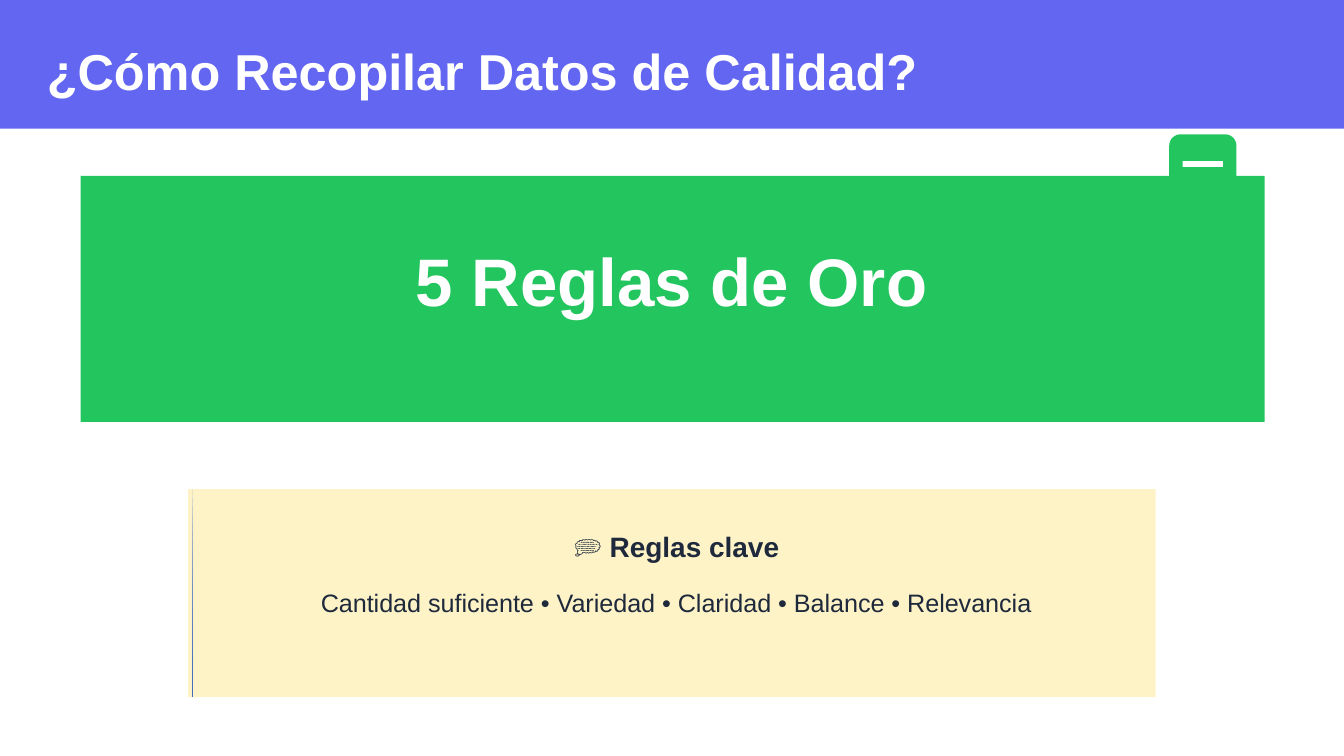
import pptx
import pptx.util
import pptx.dml.color
import pptx.enum.shapes
import pptx.enum.text

Pt = pptx.util.Pt
SHAPES = pptx.enum.shapes.MSO_SHAPE
ALIGN = pptx.enum.text.PP_ALIGN

COLORS = {
    "indigo": "6366F1",
    "green": "22C55E",
    "cream": "FEF3C7",
    "ink": "1E293B",
    "white": "FFFFFF",
    "rule_light": "6183CB",
    "rule_dark": "3062BB",
}


def color(name):
    return pptx.dml.color.RGBColor.from_string(COLORS[name])


def add_block(slide, left, top, width, height, fill, kind=SHAPES.RECTANGLE):
    block = slide.shapes.add_shape(kind, Pt(left), Pt(top), Pt(width), Pt(height))
    block.shadow.inherit = False
    block.line.fill.background()
    block.fill.solid()
    block.fill.fore_color.rgb = color(fill)
    return block


def add_hairline(slide, left, top, width, height):
    hairline = add_block(slide, left, top, width, height, "rule_dark")
    hairline.fill.gradient()
    hairline.fill.gradient_angle = 270
    for stop, name in zip(hairline.fill.gradient_stops, ("rule_light", "rule_dark")):
        stop.color.rgb = color(name)


def add_text(slide, text, left, top, width, height, *, size, ink="white",
             bold=True, align=ALIGN.CENTER, wrap=False):
    box = slide.shapes.add_textbox(Pt(left), Pt(top), Pt(width), Pt(height))
    box.text_frame.word_wrap = wrap
    paragraph = box.text_frame.paragraphs[0]
    paragraph.alignment = align
    run = paragraph.add_run()
    run.text = text
    run.font.name = "Arial"
    run.font.size = Pt(size)
    run.font.bold = bold
    run.font.color.rgb = color(ink)


def add_header(slide, left, top, width, height):
    add_block(slide, left, top, width, height, "indigo")
    add_hairline(slide, left, top + height - 1.5, width, 0)
    add_text(slide, "¿Cómo Recopilar Datos de Calidad?", left + 18, top + 18, 504, 30,
             size=27, align=ALIGN.LEFT)


def add_clipboard(slide, left, top, width, height):
    add_block(slide, left, top, width, height, "green", SHAPES.ROUNDED_RECTANGLE)
    add_block(slide, left + width * 0.2, top + height / 3, width * 0.6, 3, "white")


def add_banner(slide, left, top, width, height):
    add_block(slide, left, top, width, height, "green")
    add_text(slide, "5 Reglas de Oro", left + 24, top + 30.25, width - 49, 36, size=36)


def add_key_rules(slide, left, top, width, height):
    add_block(slide, left, top, width, height, "cream")
    add_hairline(slide, left + 2.25, top, 0, height)
    add_text(slide, "💭 Reglas clave", left + 18, top + 18, 487.5, 21,
             size=15, ink="ink")
    add_text(slide, "Cantidad suficiente • Variedad • Claridad • Balance • Relevancia",
             left + 22.5, top + 49, 478, 44.5, size=13.5, ink="ink", bold=False, wrap=True)


def main():
    deck = pptx.Presentation()
    deck.slide_width, deck.slide_height = Pt(720), Pt(405)
    slide = deck.slides.add_slide(deck.slide_layouts[6])
    add_header(slide, 0, 0, 720, 69)
    add_clipboard(slide, 626.4, 72, 36, 43.2)
    add_banner(slide, 43.2, 94.3, 634.3, 131.75)
    add_key_rules(slide, 100.8, 262, 518.4, 111.5)
    deck.save("out.pptx")


if __name__ == "__main__":
    main()
